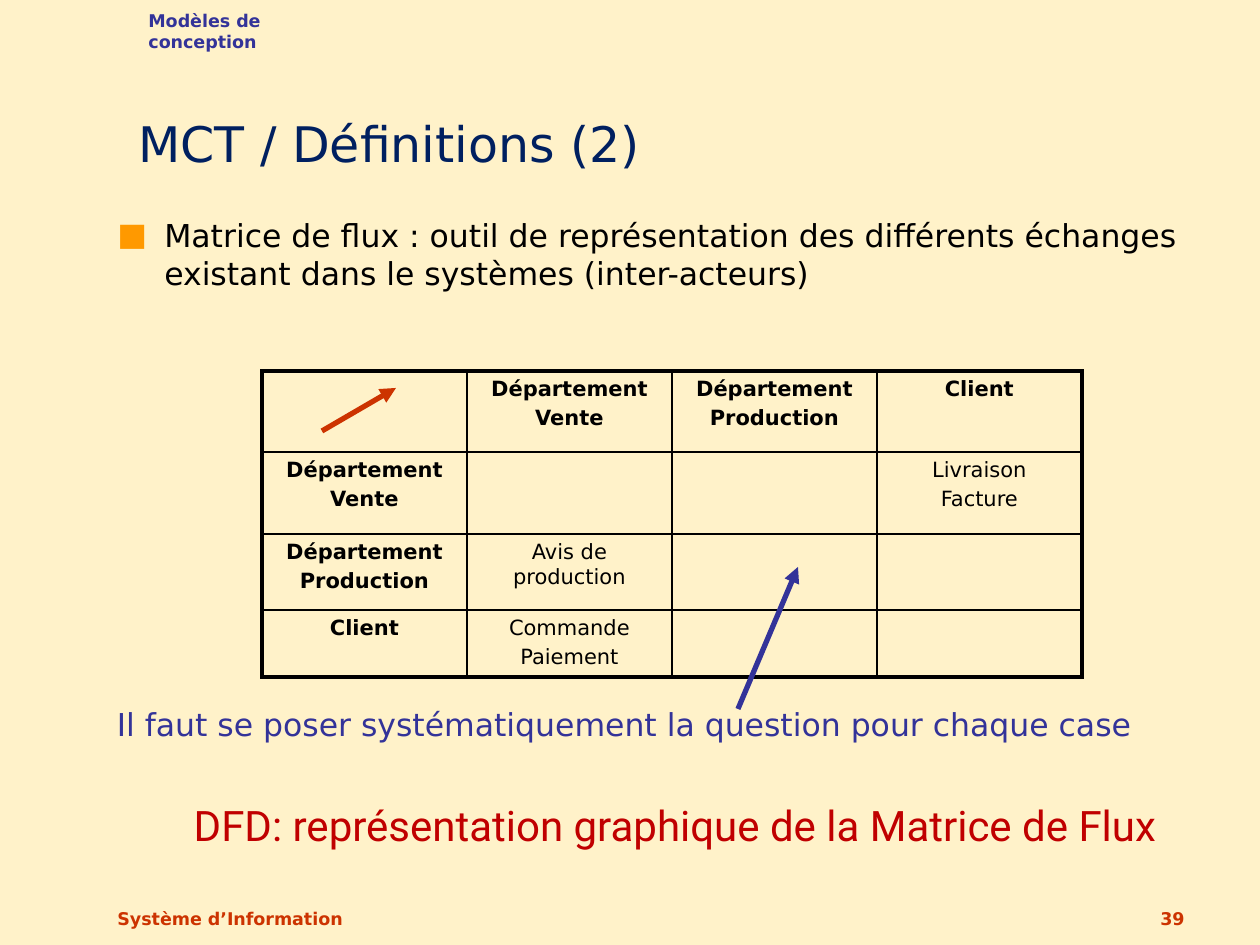
"""Build the slide on the flow matrix between actors."""
from lxml.etree import SubElement
from pptx import Presentation
from pptx.dml.color import RGBColor
from pptx.enum.shapes import MSO_CONNECTOR
from pptx.enum.text import MSO_ANCHOR, PP_ALIGN
from pptx.oxml.ns import qn
from pptx.util import Pt

PX = 914400 // 126
COLORS = {"background": "FFF2C9", "title": "002060", "black": "000000", "bullet": "FF9900",
          "blue": "333399", "rust": "CC3300", "red": "C00000"}
SANS = "DejaVu Sans"
LEFT, CENTER, RIGHT = PP_ALIGN.LEFT, PP_ALIGN.CENTER, PP_ALIGN.RIGHT
TOP, BOTTOM = MSO_ANCHOR.TOP, MSO_ANCHOR.BOTTOM

BODY = ("Matrice de flux : outil de représentation des différents échanges "
        "existant dans le systèmes (inter-acteurs) ")
TEXTS = [
    ("Système d’Information", (105, 872, 399, 63), 10, True, "rust", SANS, LEFT, BOTTOM),
    ("39", (935, 872, 262, 63), 10, True, "rust", SANS, RIGHT, BOTTOM),
    ("MCT / Définitions (2)", (126, 21, 1174, 158), 28, False, "title", SANS, LEFT, BOTTOM),
    (BODY, (105, 210, 1113, 499), 18, False, "black", SANS, LEFT, TOP),
    ("Modèles de conception", (136, 4, 248, 34), 10, True, "blue", SANS, LEFT, TOP),
    ("Il faut se poser systématiquement la question pour chaque case ",
     (78, 699, 1103, 50), 18, False, "blue", SANS, CENTER, TOP),
    ("DFD: représentation graphique de la Matrice de Flux",
     (129, 793, 1092, 63), 24, False, "red", "Roboto", CENTER, TOP),
]
SALES, PRODUCTION, CLIENT = ["Département", "Vente"], ["Département", "Production"], ["Client"]
MATRIX = [
    [[], SALES, PRODUCTION, CLIENT],
    [SALES, [], [], ["Livraison", "Facture"]],
    [PRODUCTION, ["Avis de production"], [], []],
    [CLIENT, ["Commande", "Paiement"], [], []],
]
MATRIX_AT = (262, 371)
COLUMN_WIDTH = 205
ROW_HEIGHTS = [81, 82, 76, 67]
INNER, OUTER = 1, 2.25
ARROWS = [((322, 431), (396, 388), "rust"), ((738, 709), (798, 567), "blue")]


def color(key):
    return RGBColor.from_string(COLORS[key])


def px(*lengths):
    return [length * PX for length in lengths]


def write(paragraph, wording, size, bold, ink, face, align):
    paragraph.alignment = align
    run = paragraph.add_run()
    run.text = wording
    for key, value in {"size": Pt(size), "bold": bold, "name": face}.items():
        setattr(run.font, key, value)
    run.font.color.rgb = color(ink)


def add_bullet(paragraph):
    properties = paragraph._p.get_or_add_pPr()
    properties.set("marL", str(47 * PX))
    properties.set("indent", str(-47 * PX))
    tint = SubElement(properties, qn("a:buClr"))
    SubElement(tint, qn("a:srgbClr"), val=COLORS["bullet"])
    SubElement(properties, qn("a:buFont"), typeface=SANS)
    SubElement(properties, qn("a:buChar"), char="■")


def add_borders(cell, widths):
    properties = cell._tc.get_or_add_tcPr()
    for position, (side, width) in enumerate(widths.items()):
        border = properties.makeelement(qn(f"a:ln{side}"), {"w": str(Pt(width))})
        fill = SubElement(border, qn("a:solidFill"))
        SubElement(fill, qn("a:srgbClr"), val=COLORS["black"])
        properties.insert(position, border)


def add_text(slide, wording, box, size, bold, ink, face, align, anchor):
    frame = slide.shapes.add_textbox(*px(*box)).text_frame
    frame.word_wrap = True
    frame.vertical_anchor = anchor
    write(frame.paragraphs[0], wording, size, bold, ink, face, align)
    return frame


def add_matrix(slide):
    count = len(MATRIX)
    size = (COLUMN_WIDTH * count, sum(ROW_HEIGHTS))
    table = slide.shapes.add_table(count, count, *px(*MATRIX_AT, *size)).table
    table.first_row = table.horz_banding = False
    for column in table.columns:
        column.width = COLUMN_WIDTH * PX
    for row, height in zip(table.rows, ROW_HEIGHTS):
        row.height = height * PX
    for r, flows in enumerate(MATRIX):
        for c, lines in enumerate(flows):
            cell = table.cell(r, c)
            cell.fill.background()
            edges = {"L": c == 0, "R": c == count - 1, "T": r == 0, "B": r == count - 1}
            add_borders(cell, {side: OUTER if edge else INNER for side, edge in edges.items()})
            frame = cell.text_frame
            for i, line in enumerate(lines):
                paragraph = frame.add_paragraph() if i else frame.paragraphs[0]
                if i:
                    paragraph.space_before = Pt(2.4)
                write(paragraph, line, 12, r == 0 or c == 0, "black", SANS, CENTER)


def add_arrow(slide, start, end, ink):
    arrow = slide.shapes.add_connector(MSO_CONNECTOR.STRAIGHT, *px(*start, *end))
    arrow.line.color.rgb = color(ink)
    arrow.line.width = Pt(3)
    SubElement(arrow.line._get_or_add_ln(), qn("a:tailEnd"), type="triangle")
    SubElement(arrow._element.spPr, qn("a:effectLst"))


deck = Presentation()
deck.slide_width, deck.slide_height = px(1260, 945)
slide = deck.slides.add_slide(deck.slide_layouts[6])
slide.background.fill.solid()
slide.background.fill.fore_color.rgb = color("background")
frames = {text[0]: add_text(slide, *text) for text in TEXTS}
add_bullet(frames[BODY].paragraphs[0])
frames["Modèles de conception"].margin_right = 40 * PX
add_matrix(slide)
for arrow in ARROWS:
    add_arrow(slide, *arrow)
deck.save("out.pptx")
